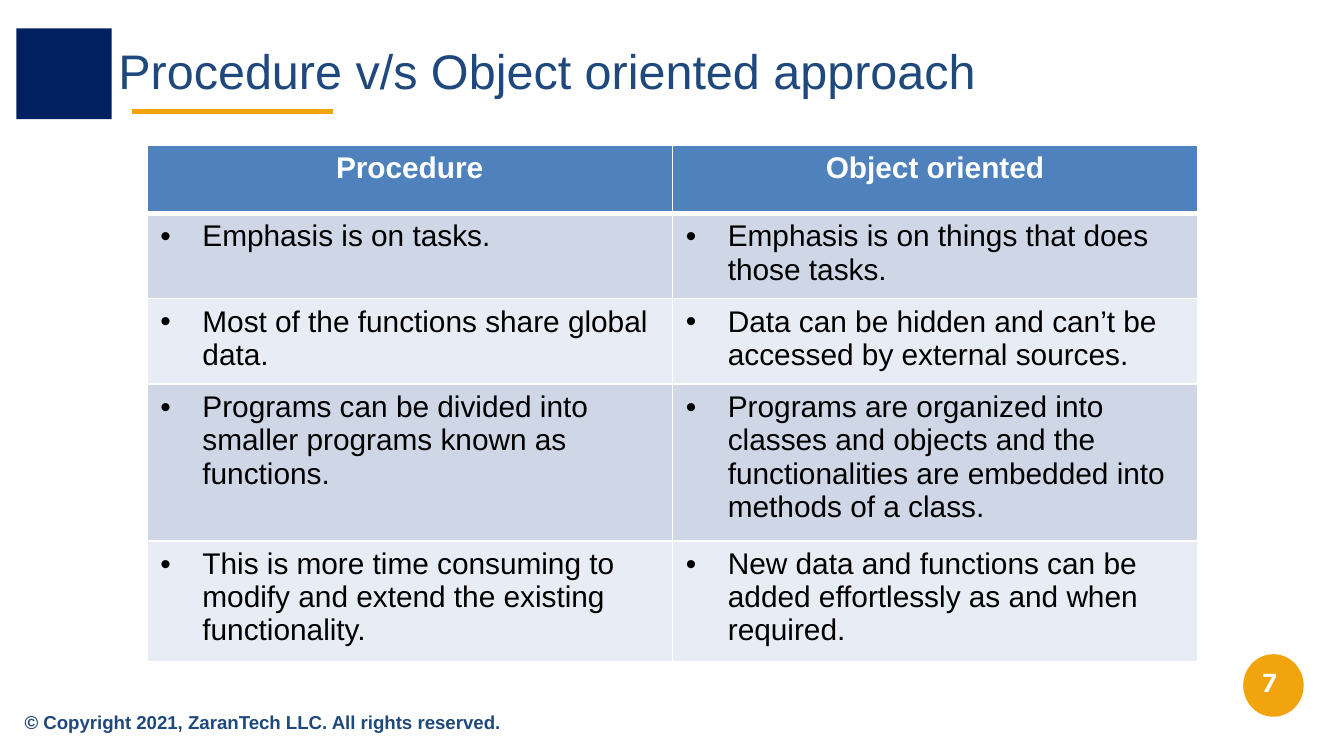
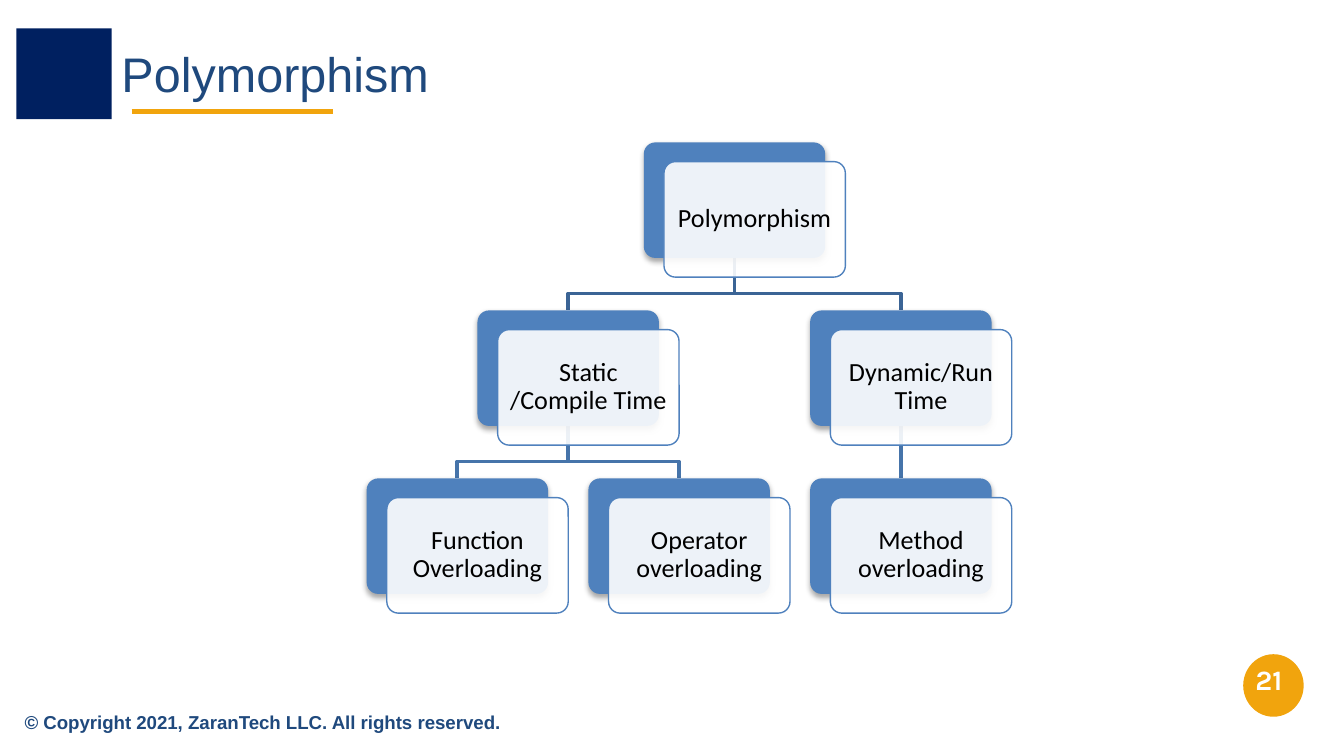
from lxml import etree
from pptx import Presentation
from pptx.dml.color import RGBColor
from pptx.enum import shapes, text
from pptx.oxml import ns
from pptx.util import Pt

COLORS = {
    "navy": "002060",
    "amber": "F1A40D",
    "ink": "1F497D",
    "blue": "4F81BD",
    "upper_link": "3B6495",
    "lower_link": "4674AA",
    "band": "CFD7E7",
    "pale": "E8ECF4",
    "white": "FFFFFF",
    "black": "000000",
}

FOOTER = "© Copyright 2021, ZaranTech LLC. All rights reserved."

COMPARISON = [
    ("Procedure", "Object oriented"),
    ("Emphasis is on tasks.", "Emphasis is on things that does those tasks."),
    ("Most of the functions share global data.",
     "Data can be hidden and can’t be accessed by external sources."),
    ("Programs can be divided into smaller programs known as functions.",
     "Programs are organized into classes and objects and the "
     "functionalities are embedded into methods of a class."),
    ("This is more time consuming to modify and extend the existing functionality.",
     "New data and functions can be added effortlessly as and when required."),
]
ROW_HEIGHTS = [36.6, 45.6, 45.9, 83.8, 64.6]

CARD_WIDTH, CARD_HEIGHT = 97.2, 61.9
TREE_LEFT, TREE_TOP = 196.4, 76.3
COLUMN_STEP, LEVEL_STEP = 118.8, 90


def rgb(name):
    return RGBColor.from_string(COLORS[name])


def add_xml(parent, tag, **attributes):
    return etree.SubElement(parent, ns.qn(tag), attributes)


def emu(points):
    return str(int(Pt(points)))


class Deck:
    def __init__(self):
        self.deck = Presentation()
        self.deck.slide_width, self.deck.slide_height = Pt(720), Pt(405)
        self.page = None

    def new_page(self, title, title_at, number, number_at):
        self.page = self.deck.slides.add_slide(self.deck.slide_layouts[6])
        self.shape(shapes.MSO_SHAPE.RECTANGLE, (8.8, 15.2, 51, 48.6), "navy")
        self.shape(shapes.MSO_SHAPE.OVAL, (666, 350.5, 32.4, 33.5), "amber")
        self.text(title, (*title_at, 600, 33), 26, "ink")
        self.line((70.5, 59.7), (178.5, 59.7), "amber", 3)
        self.text(number, (*number_at, 24, 19), 15, "white", "Karla", True)
        self.text(FOOTER, (10.3, 381, 260, 13), 10, "ink", bold=True, top=0)

    def style(self, para, size, color, face="Arial", bold=False):
        font = para.font
        font.name, font.size, font.bold = face, Pt(size), bold
        font.color.rgb = rgb(color)

    def insets(self, frame, left, top, right, bottom):
        frame.word_wrap = True
        frame.margin_left, frame.margin_top = Pt(left), Pt(top)
        frame.margin_right, frame.margin_bottom = Pt(right), Pt(bottom)

    def text(self, words, area, size, color, face="Arial", bold=False, top=0.9):
        box = self.page.shapes.add_textbox(*map(Pt, area))
        self.insets(box.text_frame, 2.9, top, 0, 0)
        para = box.text_frame.paragraphs[0]
        para.text = words
        self.style(para, size, color, face, bold)

    def shape(self, kind, area, fill, line=None):
        box = self.page.shapes.add_shape(kind, *map(Pt, area))
        box.shadow.inherit = False
        box.fill.solid()
        box.fill.fore_color.rgb = rgb(fill)
        if line:
            box.line.color.rgb = rgb(line)
            box.line.width = Pt(0.75)
        else:
            box.line.fill.background()
        return box

    def line(self, start, end, color, width):
        rule = self.page.shapes.add_connector(
            shapes.MSO_CONNECTOR.STRAIGHT, *map(Pt, start + end))
        add_xml(rule._element.spPr, "a:effectLst")
        rule.line.color.rgb = rgb(color)
        rule.line.width = Pt(width)

    def branch(self, parent, child, color):
        (start_x, start_y), (end_x, end_y) = parent, child
        bend = end_y - 9
        builder = self.page.shapes.build_freeform(Pt(start_x), Pt(start_y))
        points = [(start_x, bend), (end_x, bend), (end_x, end_y)]
        builder.add_line_segments([(Pt(x), Pt(y)) for x, y in points], close=False)
        link = builder.convert_to_shape()
        link.shadow.inherit = False
        link.fill.background()
        link.line.color.rgb = rgb(color)
        link.line.width = Pt(2)

    def card(self, words, left, top):
        kind = shapes.MSO_SHAPE.ROUNDED_RECTANGLE
        size = (CARD_WIDTH, CARD_HEIGHT)
        back = self.shape(kind, (left, top, *size), "blue")
        front = self.shape(kind, (left + 10.8, top + 10.3, *size), "white", "blue")
        for box in (back, front):
            box.adjustments[0] = 0.1

        effects = back._element.spPr.find(ns.qn("a:effectLst"))
        shadow = add_xml(effects, "a:outerShdw", blurRad=emu(3.1), dist=emu(1.8),
                         dir="5400000", rotWithShape="0")
        shade = add_xml(shadow, "a:srgbClr", val=COLORS["black"])
        add_xml(shade, "a:alpha", val="35000")
        tint = front._element.spPr.find(ns.qn("a:solidFill"))[0]
        add_xml(tint, "a:alpha", val="90000")

        frame = front.text_frame
        self.insets(frame, 4, 4, 4, 4)
        frame.vertical_anchor = text.MSO_ANCHOR.MIDDLE
        para = frame.paragraphs[0]
        para.text = words
        para.alignment = text.PP_ALIGN.CENTER
        para.line_spacing = 0.9
        self.style(para, 14, "black", "Calibri")

    def borders(self, cell, **widths):
        properties = cell._tc.get_or_add_tcPr()
        for side in "LRTB":
            edge = add_xml(properties, f"a:ln{side}", w=emu(widths.get(side, 1)))
            add_xml(add_xml(edge, "a:solidFill"), "a:srgbClr", val=COLORS["white"])

    def bullet(self, para):
        properties = para._p.get_or_add_pPr()
        properties.set("marL", emu(22.5))
        properties.set("indent", emu(-22.5))
        add_xml(add_xml(properties, "a:buClr"), "a:srgbClr", val=COLORS["black"])
        add_xml(properties, "a:buFont", typeface="Arial")
        add_xml(properties, "a:buChar", char="•")

    def table(self, rows, heights, left, top, column_width):
        columns = len(rows[0])
        grid = self.page.shapes.add_table(
            len(rows), columns, Pt(left), Pt(top),
            Pt(column_width * columns), Pt(sum(heights))).table
        for column in grid.columns:
            column.width = Pt(column_width)
        for index, (words, height) in enumerate(zip(rows, heights)):
            grid.rows[index].height = Pt(height)
            for cell, content in zip(grid.rows[index].cells, words):
                para = cell.text_frame.paragraphs[0]
                para.text = content
                if index == 0:
                    fill = "blue"
                    self.borders(cell, B=3)
                    para.alignment = text.PP_ALIGN.CENTER
                    self.style(para, 16, "white", bold=True)
                else:
                    fill = "band" if index % 2 else "pale"
                    self.borders(cell, T=3 if index == 1 else 1)
                    self.bullet(para)
                    self.style(para, 16, "black")
                cell.fill.solid()
                cell.fill.fore_color.rgb = rgb(fill)

    def tree(self):
        function, operator, method = (
            TREE_LEFT + COLUMN_STEP * column for column in range(3))
        static, dynamic = (function + operator) / 2, method
        root = (static + dynamic) / 2
        tops = [TREE_TOP + LEVEL_STEP * level for level in range(3)]
        links = [
            (1, dynamic, method), (0, root, dynamic), (1, static, operator),
            (1, static, function), (0, root, static),
        ]
        for level, parent, child in links:
            self.branch(
                (parent + CARD_WIDTH / 2, tops[level] + CARD_HEIGHT),
                (child + CARD_WIDTH / 2, tops[level + 1]),
                "lower_link" if level else "upper_link")
        cards = [
            ("Polymorphism", root, 0),
            ("Static /Compile Time", static, 1),
            ("Function Overloading", function, 2),
            ("Operator overloading", operator, 2),
            ("Dynamic/Run Time", dynamic, 1),
            ("Method overloading", method, 2),
        ]
        for words, left, level in cards:
            self.card(words, left, tops[level])


def main():
    deck = Deck()
    deck.new_page("Procedure v/s Object oriented approach", (60.5, 20.9),
                  "7", (673.5, 355))
    deck.table(COMPARISON, ROW_HEIGHTS, 78.75, 77.7, 281.5)
    deck.new_page("Polymorphism", (62.2, 22.5), "21", (669.6, 354.2))
    deck.tree()
    deck.deck.save("out.pptx")


if __name__ == "__main__":
    main()
